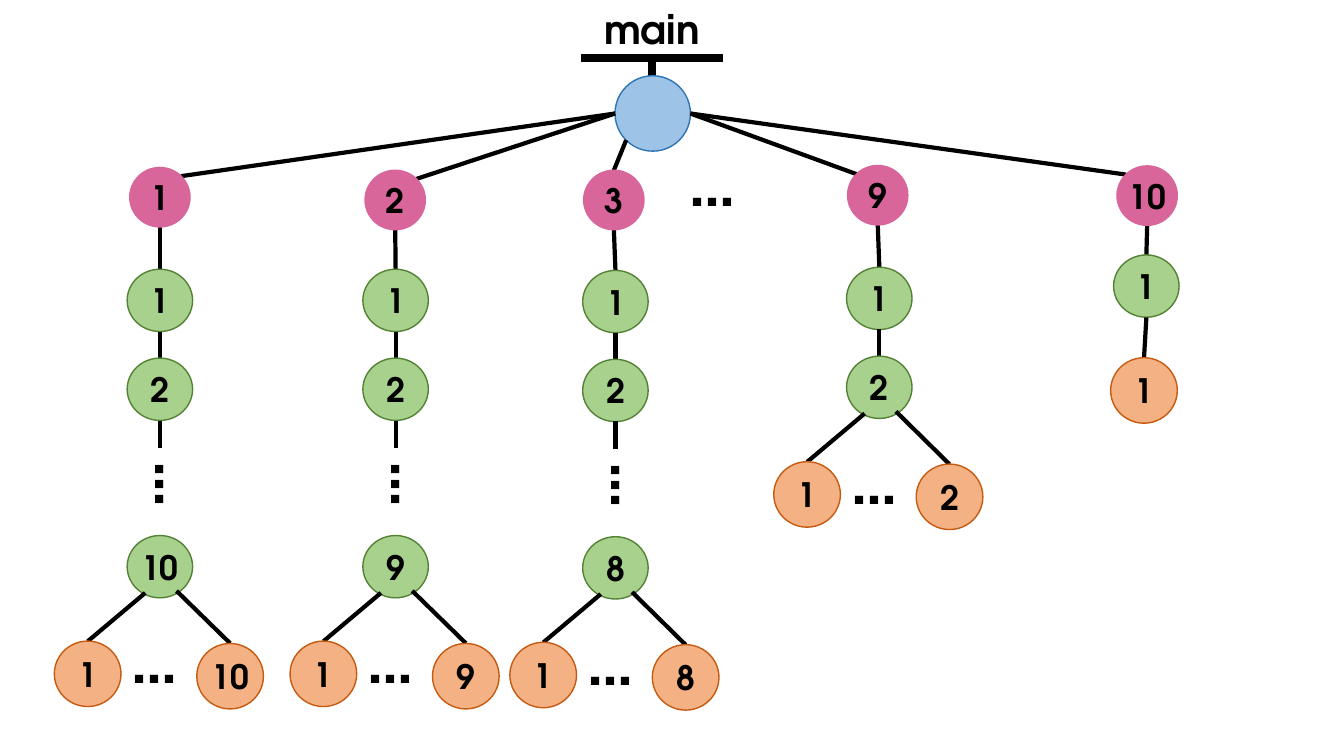
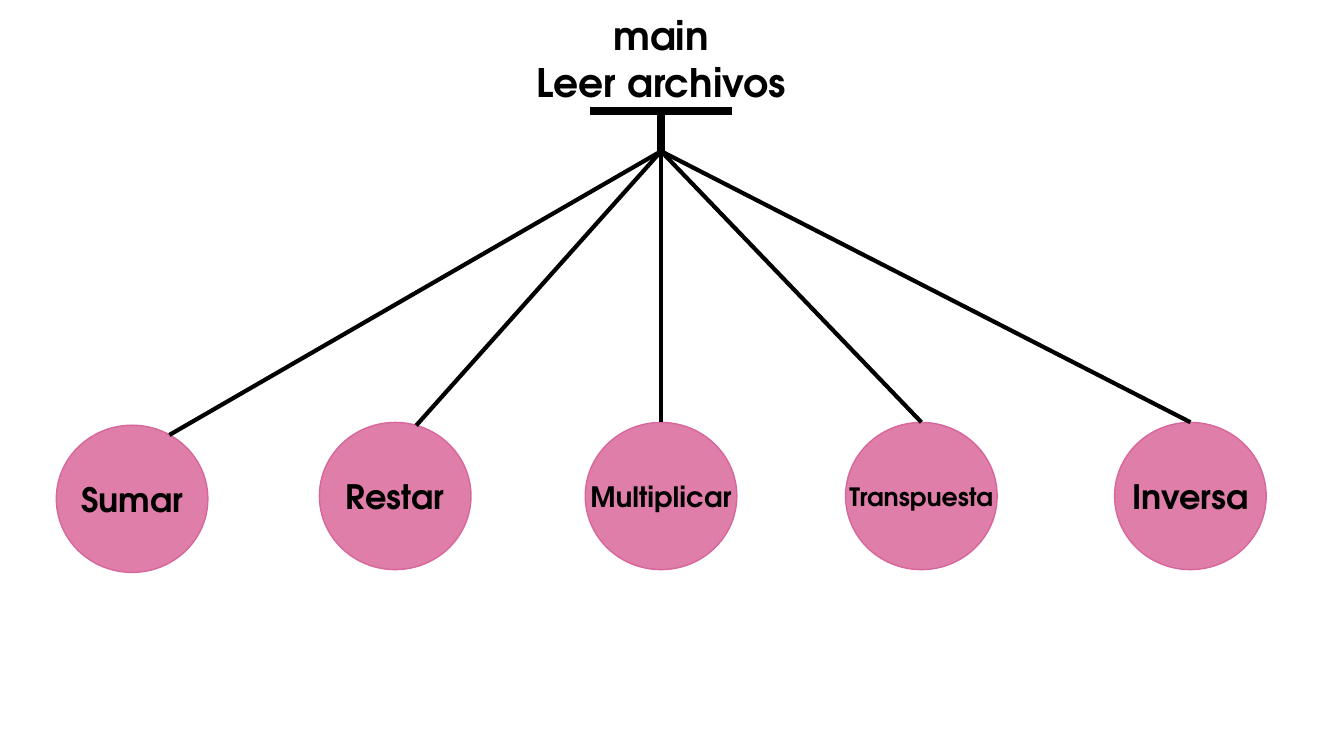
from dataclasses import dataclass
from math import sqrt

from lxml import etree
from pptx import Presentation
from pptx.dml.color import RGBColor
from pptx.enum.shapes import MSO_CONNECTOR, MSO_SHAPE
from pptx.enum.text import MSO_ANCHOR, PP_ALIGN
from pptx.oxml.ns import qn
from pptx.slide import Slide
from pptx.text.text import TextFrame
from pptx.util import Cm, Pt

OVAL = MSO_SHAPE.OVAL
STRAIGHT = MSO_CONNECTOR.STRAIGHT
MIDDLE = MSO_ANCHOR.MIDDLE
CENTER = PP_ALIGN.CENTER
LEFT = PP_ALIGN.LEFT


@dataclass(frozen=True)
class Theme:
    font: str = "TeX Gyre Adventor"
    ink: str = "000000"
    title: int = 28
    label: int = 24
    dots: int = 44
    edge: int = 1
    link: int = 3
    bar: int = 6


@dataclass(frozen=True)
class Style:
    fill: str
    line: str
    wide: float
    high: float


@dataclass(frozen=True)
class Point:
    x: float
    y: float

    def move(self, dx: float, dy: float) -> "Point":
        return Point(round(self.x + dx, 2), round(self.y + dy, 2))


@dataclass(frozen=True)
class Branch:
    name: str
    head: Point
    stem: Point
    last: int
    side: int


@dataclass(frozen=True)
class Task:
    name: str
    spot: Point
    size: int = 24
    tip: float = 0


THEME = Theme()
ROOT = Style("9DC3E6", "2E75B6", 1.9, 1.9)
HEAD = Style("D8669A", "D8669A", 1.52, 1.5)
STEP = Style("A9D18E", "548235", 1.65, 1.57)
LEAF = Style("F4B183", "C55A11", 1.68, 1.65)
TASK = Style("DE7EA9", "D8669A", 3.82, 3.71)

PITCH = 2.24
DROP = 6.71
DIAG = 0.53

BRANCHES = [
    Branch("1", Point(4.03, 4.97), Point(4.03, 7.57), 10, 1),
    Branch("2", Point(9.96, 5.04), Point(9.97, 7.57), 9, 1),
    Branch("3", Point(15.47, 5.04), Point(15.51, 7.6), 8, 0),
    Branch("9", Point(22.12, 4.92), Point(22.16, 7.52), 2, -1),
    Branch("10", Point(28.91, 4.93), Point(28.89, 7.21), 1, -1),
]

TASKS = [
    Task("Sumar", Point(3.33, 12.57), tip=0.94),
    Task("Restar", Point(9.96, 12.5), tip=0.53),
    Task("Multiplicar", Point(16.66, 12.5), 20),
    Task("Transpuesta", Point(23.22, 12.5), 18),
    Task("Inversa", Point(30, 12.5)),
]


def write(frame: TextFrame, text: str, size: int, align: PP_ALIGN) -> None:
    frame.text = text
    for para in frame.paragraphs:
        para.alignment = align
        for run in para.runs:
            run.font.name = THEME.font
            run.font.size = Pt(size)
            run.font.bold = True
            run.font.color.rgb = RGBColor.from_string(THEME.ink)


def node(slide: Slide, at: Point, style: Style, text: str = "",
         size: int = THEME.label) -> None:
    oval = slide.shapes.add_shape(
        OVAL, Cm(at.x - style.wide / 2), Cm(at.y - style.high / 2),
        Cm(style.wide), Cm(style.high))
    oval.shadow.inherit = False
    oval.fill.solid()
    oval.fill.fore_color.rgb = RGBColor.from_string(style.fill)
    oval.line.color.rgb = RGBColor.from_string(style.line)
    oval.line.width = Pt(THEME.edge)
    if text:
        frame = oval.text_frame
        frame.margin_left = frame.margin_right = 0
        frame.margin_top = frame.margin_bottom = 0
        frame.word_wrap = False
        frame.vertical_anchor = MIDDLE
        write(frame, text, size, CENTER)


def link(slide: Slide, start: Point, end: Point, width: int = THEME.link) -> None:
    line = slide.shapes.add_connector(
        STRAIGHT, Cm(start.x), Cm(start.y), Cm(end.x), Cm(end.y))
    line.line.color.rgb = RGBColor.from_string(THEME.ink)
    line.line.width = Pt(width)
    etree.SubElement(line._element.spPr, qn("a:effectLst"))


def dots(slide: Slide, at: Point, turn: int = 0) -> None:
    wide, high = 1.52, 2.13
    box = slide.shapes.add_textbox(
        Cm(at.x - wide / 2), Cm(at.y - high / 2), Cm(wide), Cm(high))
    box.rotation = turn
    box.text_frame.word_wrap = True
    write(box.text_frame, "…", THEME.dots, LEFT)


def trunk(slide: Slide, at: Point, text: str, top: float,
          wide: float, high: float) -> None:
    box = slide.shapes.add_textbox(
        Cm(at.x - wide / 2), Cm(top), Cm(wide), Cm(high))
    box.text_frame.word_wrap = True
    write(box.text_frame, text, THEME.title, CENTER)
    link(slide, at.move(-1.79, 0), at.move(1.79, 0), THEME.bar)
    link(slide, at, at.move(0, 1.02), THEME.bar)


def join(slide: Slide, top: Point, above: Style, low: Point, below: Style) -> None:
    link(slide, top.move(0, above.high / 2), low.move(0, -below.high / 2))


def fork(slide: Slide, at: Point, last: int) -> None:
    left, right = at.move(-1.82, 2.7), at.move(1.77, 2.76)
    link(slide, left.move(0, -LEAF.high / 2), at.move(-0.37, 0.66))
    link(slide, right.move(0, -LEAF.high / 2), at.move(0.42, 0.61))
    node(slide, left, LEAF, "1")
    node(slide, right, LEAF, str(last))
    dots(slide, at.move(-0.22, 2.34))


def grow(slide: Slide, root: Point, branch: Branch) -> None:
    head, first, side = branch.head, branch.stem, branch.side
    if side:
        link(slide, root.move(-side * ROOT.wide / 2, 0),
             head.move(side * DIAG, -DIAG))
    else:
        link(slide, root.move(-0.67, 0.67), head.move(0, -HEAD.high / 2))
    join(slide, head, HEAD, first, STEP)
    node(slide, head, HEAD, branch.name)
    node(slide, first, STEP, "1")
    if branch.last == 1:
        leaf = first.move(-0.06, 2.63)
        join(slide, first, STEP, leaf, LEAF)
        node(slide, leaf, LEAF, "1")
        return
    second = first.move(0, PITCH)
    join(slide, first, STEP, second, STEP)
    node(slide, second, STEP, "2")
    end = second
    if branch.last > 2:
        end = first.move(0, DROP)
        link(slide, second.move(0, STEP.high / 2), second.move(0, 1.47))
        dots(slide, second.move(0.5, 2.31), 90)
        node(slide, end, STEP, str(branch.last))
    fork(slide, end, branch.last)


def draw_tree(slide: Slide) -> None:
    root = Point(16.45, 2.86)
    trunk(slide, Point(16.43, 1.46), "main", 0, 3.28, 1.45)
    node(slide, root, ROOT)
    for branch in BRANCHES:
        grow(slide, root, branch)
    dots(slide, Point(17.86, 4.6))


def draw_tasks(slide: Slide) -> None:
    base = Point(16.66, 2.79)
    trunk(slide, base, "main\vLeer archivos", 0.15, 6.91, 2.64)
    for task in TASKS:
        rise = TASK.high / 2 * sqrt(1 - (2 * task.tip / TASK.wide) ** 2)
        node(slide, task.spot, TASK, task.name, task.size)
        link(slide, base.move(0, 1.02), task.spot.move(task.tip, -rise))


def main() -> None:
    deck = Presentation()
    deck.slide_width, deck.slide_height = Cm(33.87), Cm(19.05)
    for draw in (draw_tree, draw_tasks):
        draw(deck.slides.add_slide(deck.slide_layouts[6]))
    deck.save("out.pptx")


main()
